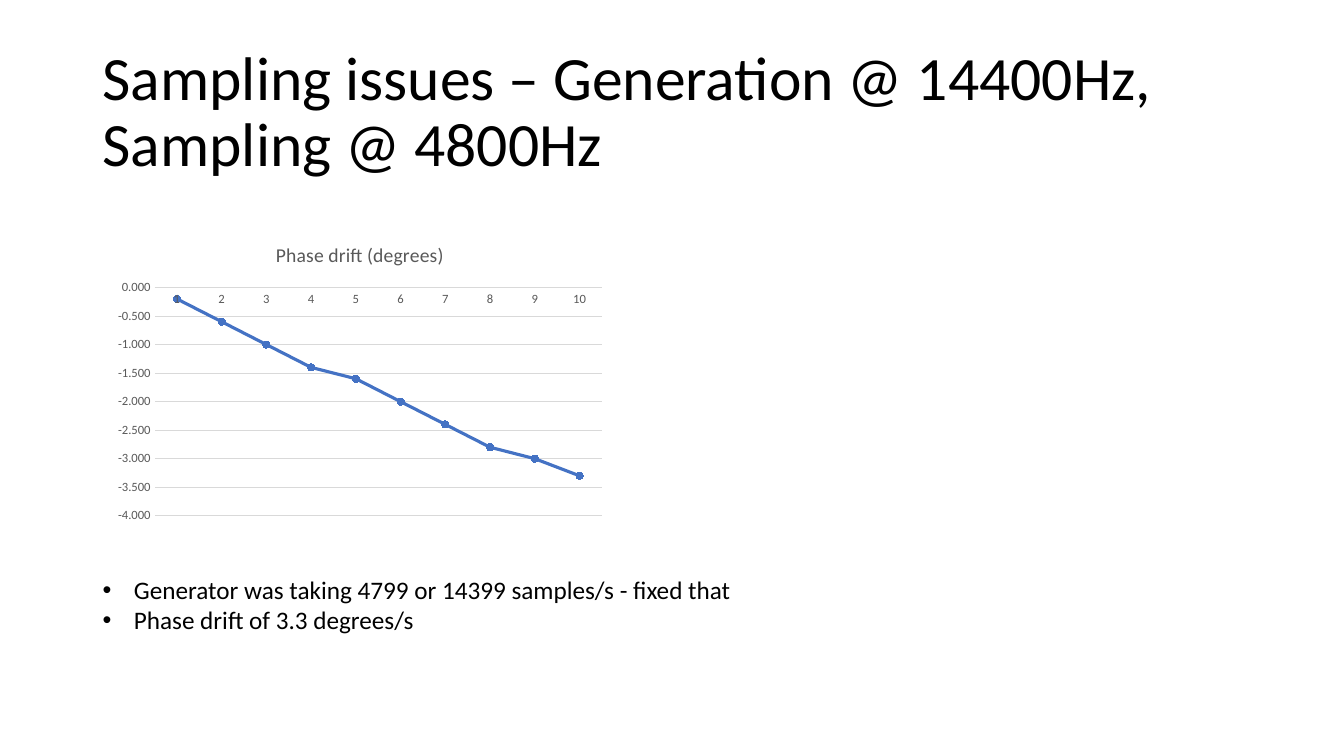
"""Builds the slide on phase drift between generation and sampling rates."""
from lxml import etree
from pptx import Presentation, util as u
from pptx.chart.data import CategoryChartData
from pptx.dml.color import RGBColor
from pptx.enum import chart as ch, text
from pptx.oxml.ns import qn

BLACK = RGBColor(0x00, 0x00, 0x00)
GREY = RGBColor(0x59, 0x59, 0x59)
RULE = RGBColor(0xD9, 0xD9, 0xD9)
BLUE = RGBColor(0x44, 0x72, 0xC4)
FONT = "Calibri"
TITLE = "Sampling issues – Generation @ 14400Hz, Sampling @ 4800Hz"
NOTES = ["Generator was taking 4799 or 14399 samples/s - fixed that",
         "Phase drift of 3.3 degrees/s"]
DRIFT = [-0.2, -0.6, -1, -1.4, -1.6, -2, -2.4, -2.8, -3, -3.3]
MARGIN = 0.92


def set_font(font, size, color):
    """Apply the slide's typeface with a size and colour."""
    font.name, font.size, font.bold = FONT, u.Pt(size), False
    font.color.rgb = color


def add_text(s, box, lines, size):
    """Place a wrapping text box with one paragraph per line."""
    tf = s.shapes.add_textbox(*map(u.Inches, box)).text_frame
    tf.text = "\n".join(lines)
    tf.word_wrap = True
    for p in tf.paragraphs:
        set_font(p.runs[0].font, size, BLACK)
    return tf


def add_title(s, box):
    """Place the slide title, centred vertically in its box."""
    tf = add_text(s, box, [TITLE], 44)
    tf.vertical_anchor = text.MSO_ANCHOR.MIDDLE
    tf.paragraphs[0].line_spacing = 0.9


def add_notes(s, box):
    """Place the bulleted findings."""
    tf = add_text(s, box, NOTES, 18)
    indent = u.Inches(0.31)
    for p in tf.paragraphs:
        pPr = p._p.get_or_add_pPr()
        pPr.set("marL", str(indent))
        pPr.set("indent", str(-indent))
        etree.SubElement(pPr, qn("a:buFont"), typeface="Arial")
        etree.SubElement(pPr, qn("a:buChar"), char="•")


def style_axis(axis):
    """Give an axis small grey labels and no tick marks."""
    axis.major_tick_mark = axis.minor_tick_mark = ch.XL_TICK_MARK.NONE
    set_font(axis.tick_labels.font, 9, GREY)


def style_line(line, color, width):
    """Set the colour and width of a line."""
    line.color.rgb, line.width = color, u.Pt(width)


def add_drift_chart(s, box):
    """Place the line chart of phase drift."""
    data = CategoryChartData()
    data.categories = [str(i) for i in range(1, len(DRIFT) + 1)]
    data.add_series("Series 1", DRIFT)
    chart = s.shapes.add_chart(ch.XL_CHART_TYPE.LINE_MARKERS,
                               *map(u.Inches, box), data).chart
    set_font(chart.font, 10, BLACK)
    chart.has_legend = False
    chart.has_title = True
    tf = chart.chart_title.text_frame
    tf.text = "Phase drift (degrees)"
    set_font(tf.paragraphs[0].runs[0].font, 14, GREY)
    chart.chart_title.include_in_layout = False

    cat, val = chart.category_axis, chart.value_axis
    style_axis(cat)
    style_axis(val)
    style_line(cat.format.line, RULE, 0.75)
    val.format.line.fill.background()
    val.has_major_gridlines = True
    style_line(val.major_gridlines.format.line, RULE, 0.75)
    val.minimum_scale, val.maximum_scale, val.major_unit = -4, 0, 0.5
    val.tick_labels.number_format = "0.000"
    val.tick_labels.number_format_is_linked = False

    plot = chart.plots[0]
    plot.vary_by_categories = False
    series = plot.series[0]
    series.smooth = False
    style_line(series.format.line, BLUE, 2.25)
    marker = series.marker
    marker.style, marker.size = ch.XL_MARKER_STYLE.CIRCLE, 5
    marker.format.fill.solid()
    marker.format.fill.fore_color.rgb = BLUE
    style_line(marker.format.line, BLUE, 0.75)


def main():
    """Build and save the slide."""
    prs = Presentation()
    prs.slide_width, prs.slide_height = u.Inches(13.33), u.Inches(7.5)
    s = prs.slides.add_slide(prs.slide_layouts[6])
    add_title(s, (MARGIN, 0.4, 11.5, 1.45))
    add_notes(s, (MARGIN, 5.65, 6.67, 0.71))
    add_drift_chart(s, (1.07, 2.25, 5, 3))
    prs.save("out.pptx")


if __name__ == "__main__":
    main()
